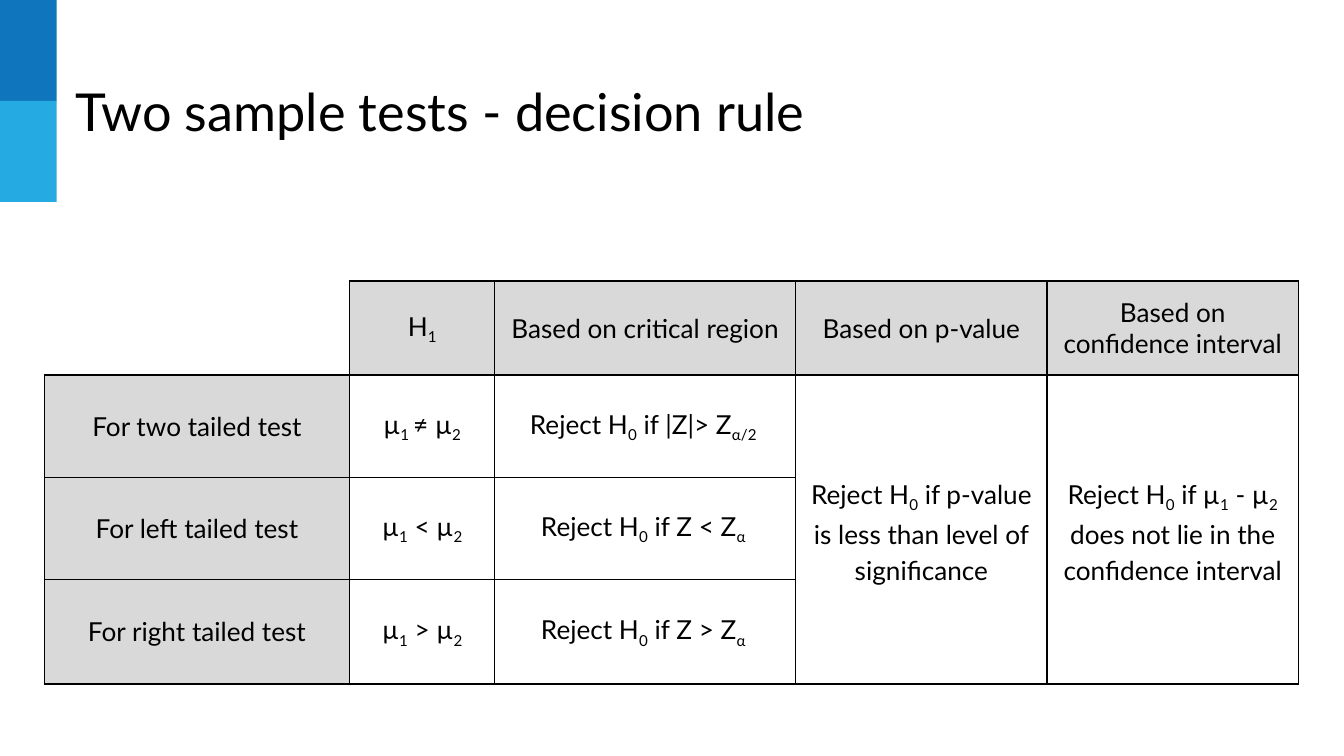
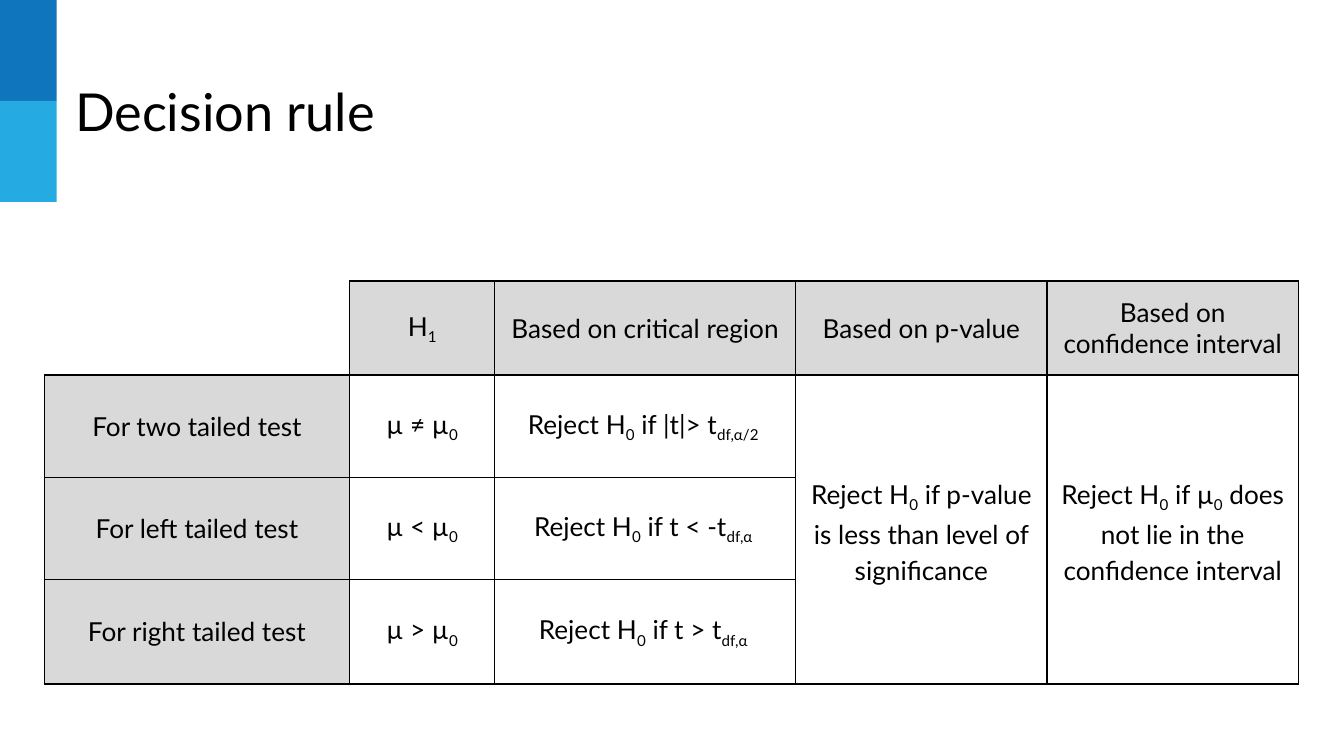
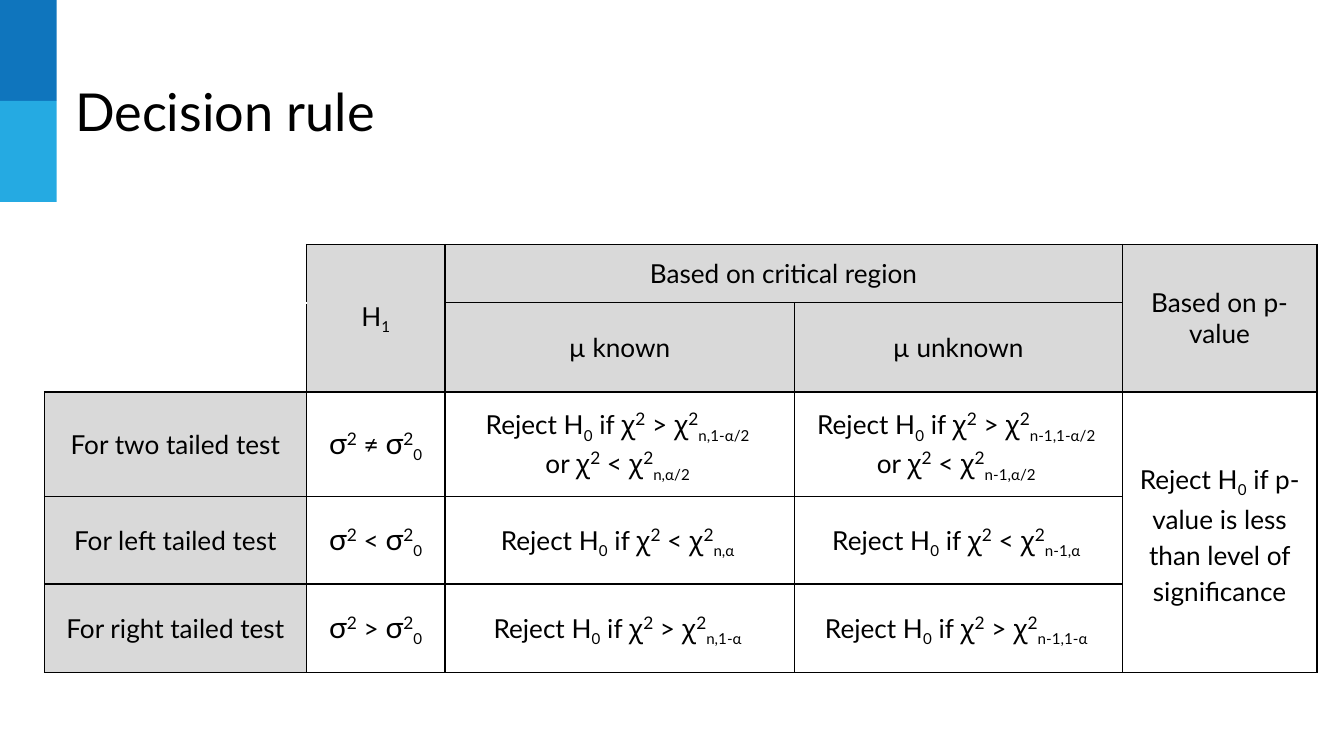
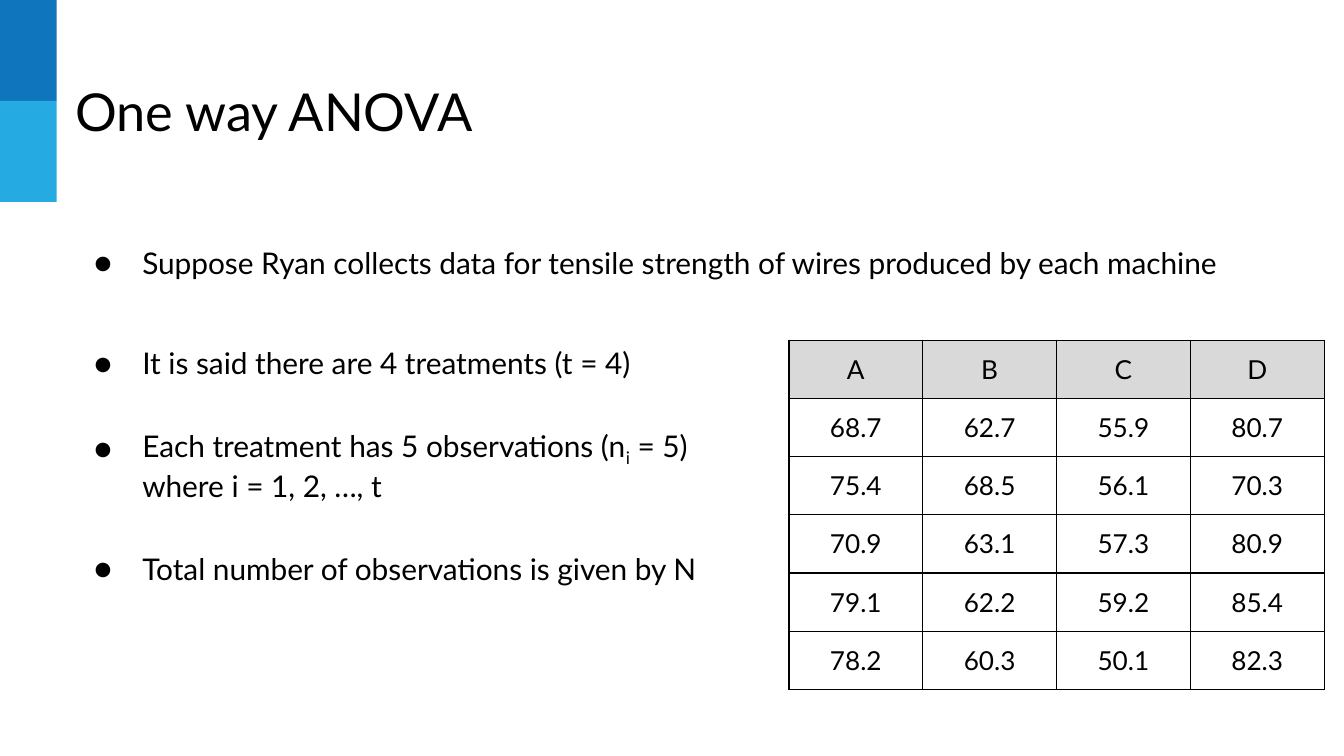
from lxml.etree import SubElement
from pptx import Presentation
from pptx.dml.color import RGBColor
from pptx.enum.shapes import MSO_SHAPE
from pptx.enum.text import MSO_ANCHOR, PP_ALIGN
from pptx.oxml.ns import qn
from pptx.util import Cm, Pt

COLORS = {
    "text": "000000",
    "border": "000000",
    "header": "D9D9D9",
    "band_top": "0F75BD",
    "band_bottom": "25AAE2",
}
FONT = "Lato"
TITLE_SIZE, BULLET_SIZE, TABLE_SIZE = 28, 16, 14
TITLE_ONLY = 5
# Characters that open and close a stretch of special text: (baseline, size)
MARKS = {"~": (-25000, None), "^": (30000, 16), "*": (None, 16)}

MARGINS = {f"margin_{side}": Cm(0.25) for side in ("left", "right", "top", "bottom")}
TEXT_BOX = {**MARGINS, "word_wrap": True, "vertical_anchor": MSO_ANCHOR.TOP}
CELL = {**MARGINS, "vertical_anchor": MSO_ANCHOR.MIDDLE}
PLAIN_TABLE = {"first_row": False, "horz_banding": False}

TITLE_BOX = (1.17, 1.24, 18.72, 1.6)
TESTS = [f"For {side} tailed test" for side in ("two", "left", "right")]
SIGNS = "≠<>"
P_VALUE_RULE = "Reject H~0~ if p-value is less than level of significance"


def set_format(target, values):
    for name, value in values.items():
        setattr(target, name, value)


def color(name):
    return RGBColor.from_string(COLORS[name])


def add_run(paragraph, text, size, baseline=None):
    run = paragraph.add_run()
    run.text = text
    set_format(run.font, {"name": FONT, "size": Pt(size)})
    run.font.color.rgb = color("text")
    if baseline:
        run.font._element.set("baseline", str(baseline))


def write_marked(paragraph, text, size):
    """Write text in which the MARKS enclose subscripts, superscripts and large letters."""
    for number, line in enumerate(text.split("\n")):
        if number:
            paragraph.add_line_break()
            SubElement(paragraph._p[-1], qn("a:rPr"), sz=str(size * 100))
        mark, part = "", ""
        for letter in line + "\n":
            if letter not in MARKS and letter != "\n":
                part += letter
                continue
            if part:
                baseline, marked_size = MARKS.get(mark, (None, None))
                add_run(paragraph, part, marked_size or size, baseline)
            mark, part = "" if mark else letter, ""


def set_borders(cell, sides):
    properties = cell._tc.get_or_add_tcPr()
    for side in sides:
        line = SubElement(properties, qn(f"a:ln{side}"), w=str(Pt(0.75)))
        fill = SubElement(line, qn("a:solidFill"))
        SubElement(fill, qn("a:srgbClr"), val=COLORS["border"])


def write_cell(cell, text, sides, is_header):
    set_format(cell, CELL)
    set_borders(cell, sides)
    if is_header:
        cell.fill.solid()
        cell.fill.fore_color.rgb = color("header")
    else:
        cell.fill.background()
    paragraph = cell.text_frame.paragraphs[0]
    paragraph.alignment = PP_ALIGN.CENTER
    if cell.is_merge_origin and not is_header:
        paragraph.line_spacing = 1.15
    write_marked(paragraph, text, TABLE_SIZE)
    SubElement(paragraph._p, qn("a:endParaRPr"), sz=str(TABLE_SIZE * 100))


def add_grid(slide, position, widths, heights, rows, header_rows=1,
             header_columns=0, merges=()):
    """Add a table; where header rows and columns meet, the corner stays open."""
    left, top = position
    frame = slide.shapes.add_table(len(heights), len(widths), Cm(left), Cm(top),
                                   Cm(sum(widths)), Cm(sum(heights)))
    table = frame.table
    set_format(table, PLAIN_TABLE)
    for column, width in zip(table.columns, widths):
        column.width = Cm(width)
    for row, height in zip(table.rows, heights):
        row.height = Cm(height)
    for first, last in merges:
        table.cell(*first).merge(table.cell(*last))
    for r, texts in enumerate(rows):
        for c, text in enumerate(texts):
            in_header_row, in_header_column = r < header_rows, c < header_columns
            sides = "LRTB"
            if in_header_row and in_header_column:
                sides = "RB" if r == header_rows - 1 else "R"
            write_cell(table.cell(r, c), text, sides, in_header_row != in_header_column)


def add_bands(slide, layout):
    """Draw the two corner bands and hand them to the layout all slides share."""
    width, height = 1.07, 1.91
    for number, name in enumerate(("band_top", "band_bottom")):
        band = slide.shapes.add_shape(MSO_SHAPE.RECTANGLE, 0, Cm(number * height),
                                      Cm(width), Cm(height))
        band.shadow.inherit = False
        band.fill.solid()
        band.fill.fore_color.rgb = color(name)
        band.line.fill.background()
        layout.shapes._spTree.append(band._element)


def add_titled_slide(presentation, title_text):
    slide = presentation.slides.add_slide(presentation.slide_layouts[TITLE_ONLY])
    title = slide.shapes.title
    set_format(title, dict(zip(("left", "top", "width", "height"), map(Cm, TITLE_BOX))))
    set_format(title.text_frame, TEXT_BOX)
    paragraph = title.text_frame.paragraphs[0]
    paragraph.alignment = PP_ALIGN.LEFT
    add_run(paragraph, title_text, TITLE_SIZE)
    return slide


def add_bullets(slide, box, texts):
    frame = slide.shapes.add_textbox(*map(Cm, box)).text_frame
    set_format(frame, TEXT_BOX)
    for number, text in enumerate(texts):
        paragraph = frame.add_paragraph() if number else frame.paragraphs[0]
        if number:
            paragraph.space_before = Pt(25)
        properties = paragraph._p.get_or_add_pPr()
        properties.set("marL", str(Cm(1.27)))
        properties.set("indent", str(-Cm(0.91)))
        bullet_color = SubElement(properties, qn("a:buClr"))
        SubElement(bullet_color, qn("a:srgbClr"), val=COLORS["text"])
        SubElement(properties, qn("a:buFont"), typeface=FONT)
        SubElement(properties, qn("a:buChar"), char="●")
        write_marked(paragraph, text, BULLET_SIZE)


def add_mean_test_slide(presentation, title, hypotheses, regions, interval_rule):
    slide = add_titled_slide(presentation, title)
    rows = [["", "H~1~", "Based on critical region", "Based on p-value",
             "Based on confidence interval"]]
    for test, hypothesis, region in zip(TESTS, hypotheses, regions):
        rules = ["", ""] if len(rows) > 1 else [P_VALUE_RULE, interval_rule]
        rows.append([test, hypothesis, f"Reject H~0~ if {region}", *rules])
    add_grid(slide, (0.84, 5.31), [5.77, 2.74, 5.69, 4.75, 4.75],
             [1.78, 1.93, 1.93, 1.98], rows, header_columns=1,
             merges=[((1, c), (3, c)) for c in (3, 4)])
    return slide


def variance_regions(freedom):
    """Give the critical regions of the three tests for the degrees of freedom."""
    reject = "Reject H~0~ if ꭓ^2^"
    return [f"{reject} > ꭓ^2^~{freedom},1-α/2 ~\nor ꭓ^2^ < ꭓ^2^~{freedom},α/2 ~",
            f"{reject} < ꭓ^2^~{freedom},α ~",
            f"{reject} > ꭓ^2^~{freedom},1-α ~"]


def add_variance_test_slide(presentation):
    slide = add_titled_slide(presentation, "Decision rule")
    hypotheses = [f"*σ*^2^ {sign} *σ*^2^~0~" for sign in SIGNS]
    rows = [["", "H~1~", "Based on critical region", "", "Based on p-value"],
            ["", "", "µ known", "µ unknown", ""],
            *zip(TESTS, hypotheses, variance_regions("n"), variance_regions("n-1"),
                 [P_VALUE_RULE, "", ""])]
    add_grid(slide, (0.84, 4.62), [4.95, 2.62, 6.6, 6.2, 3.68],
             [1.09, 1.52, 1.65, 1.65, 1.68], rows, header_rows=2, header_columns=1,
             merges=[((0, 1), (1, 1)), ((0, 2), (0, 3)), ((0, 4), (1, 4)),
                     ((2, 4), (4, 4))])


def add_anova_slide(presentation):
    slide = add_titled_slide(presentation, "One way ANOVA")
    add_bullets(slide, (1.17, 4.37, 23.34, 1.6), [
        "Suppose Ryan collects data for tensile strength of wires produced by each machine"])
    strengths = {
        "A": ["68.7", "75.4", "70.9", "79.1", "78.2"],
        "B": ["62.7", "68.5", "63.1", "62.2", "60.3"],
        "C": ["55.9", "56.1", "57.3", "59.2", "50.1"],
        "D": ["80.7", "70.3", "80.9", "85.4", "82.3"],
    }
    rows = [list(strengths), *zip(*strengths.values())]
    add_grid(slide, (14.91, 6.43), [2.53] * len(strengths), [1.1] * len(rows), rows)
    add_bullets(slide, (1.17, 6.27, 12.95, 7.14), [
        "It is said there are 4 treatments (t = 4)",
        "Each treatment has 5 observations (n~i~ = 5) where i = 1, 2, …, t",
        "Total number of observations is given by N"])


def main():
    presentation = Presentation()
    set_format(presentation, {"slide_width": Cm(25.4), "slide_height": Cm(14.29)})
    first_slide = add_mean_test_slide(
        presentation, "Two sample tests - decision rule",
        ["µ~1 ~≠ µ~2~", "µ~1~ < µ~2~", "µ~1~ > µ~2~"],
        ["|Z|> Z~α/2 ~", "Z < Z~α ~", "Z > Z~α ~"],
        "Reject H~0~ if µ~1~ - µ~2~ does not lie in the confidence interval")
    add_bands(first_slide, presentation.slide_layouts[TITLE_ONLY])
    add_mean_test_slide(
        presentation, "Decision rule",
        [f"µ {sign} µ~0~" for sign in SIGNS],
        ["|t|> t~df,α/2 ~", "t < -t~df,α ~", "t > t~df,α ~"],
        "Reject H~0~ if µ~0~ does not lie in the confidence interval")
    add_variance_test_slide(presentation)
    add_anova_slide(presentation)
    presentation.save("out.pptx")


if __name__ == "__main__":
    main()
